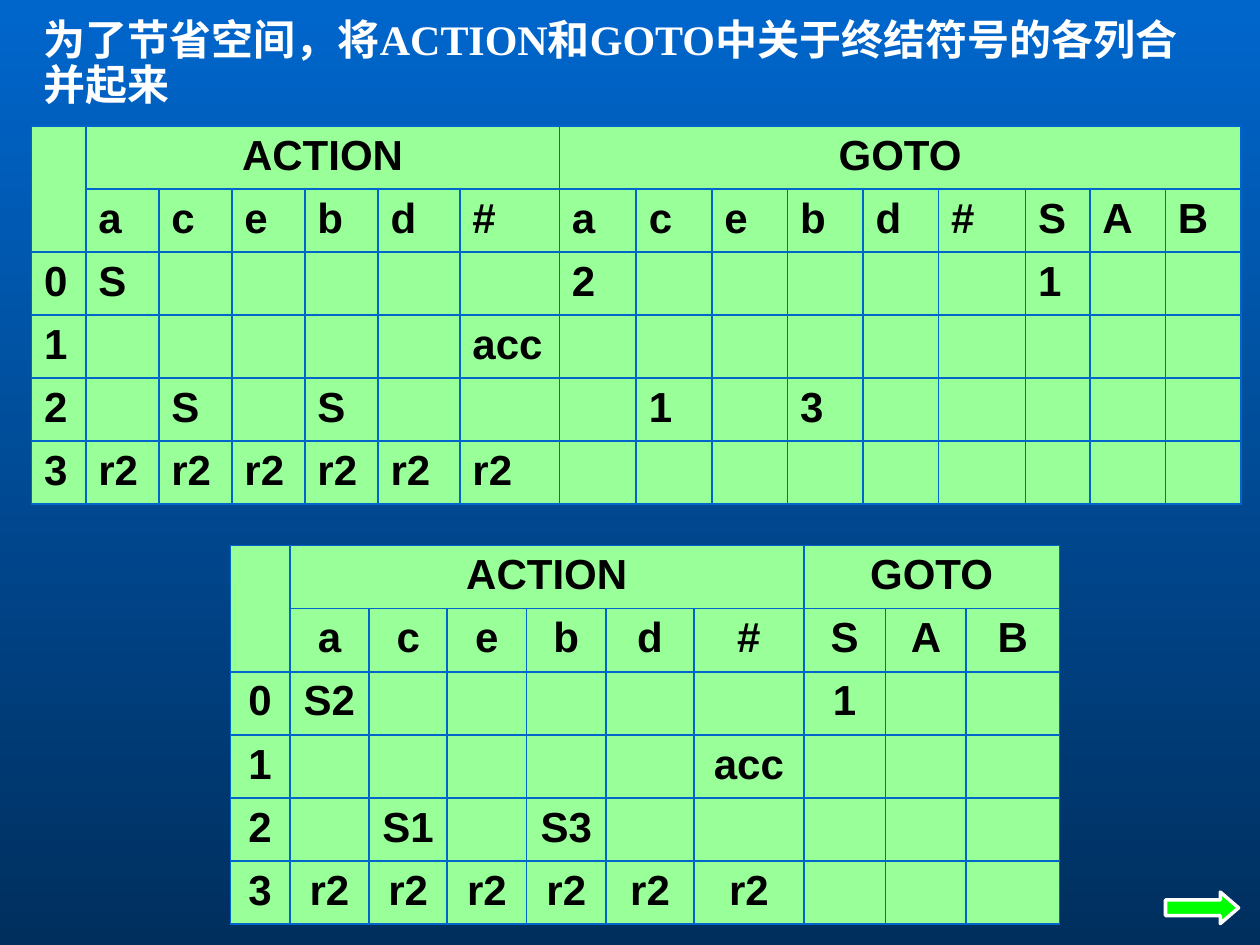
from dataclasses import dataclass

from lxml import etree
from pptx import Presentation
from pptx.dml.color import RGBColor
from pptx.enum.shapes import MSO_SHAPE
from pptx.enum.text import PP_ALIGN
from pptx.oxml.ns import qn
from pptx.util import Inches, Pt

LEFT, CENTER = PP_ALIGN.LEFT, PP_ALIGN.CENTER
RIGHT_ARROW = MSO_SHAPE.RIGHT_ARROW

WHITE = RGBColor(0xFF, 0xFF, 0xFF)
BLACK = RGBColor(0x00, 0x00, 0x00)
BLUE = RGBColor(0x00, 0x66, 0xCC)
NAVY = RGBColor(0x00, 0x2F, 0x5E)
MINT = RGBColor(0x99, 0xFF, 0x99)
GREEN = RGBColor(0x00, 0xFF, 0x00)

ROW_HEIGHT = 0.5
BORDER_WIDTH = Pt(1.08)
EMPTY = "."
ACTION_COLS = 6


@dataclass
class ParseTable:
    left: float
    top: float
    widths: list[float]
    rows: list[str]  # symbol row, then one row per state
    align: PP_ALIGN


FULL = ParseTable(
    0.25, 1.0,
    [0.43, *[0.58] * 4, 0.65, 0.79, 0.61, *[0.6] * 4, 0.69, 0.51, 0.6, 0.6],
    [". a c e b d # a c e b d # S A B",
     "0 S . . . . . 2 . . . . . 1 . .",
     "1 . . . . . acc . . . . . . . . .",
     "2 . S . S . . . 1 . 3 . . . . .",
     "3 r2 r2 r2 r2 r2 r2 . . . . . . . . ."],
    LEFT,
)
MERGED = ParseTable(
    1.83, 4.33,
    [0.47, 0.63, 0.62, 0.63, 0.63, 0.7, 0.87, 0.65, 0.64, 0.74],
    [". a c e b d # S A B",
     "0 S2 . . . . . 1 . .",
     "1 . . . . . acc . . .",
     "2 . S1 . S3 . . . . .",
     "3 r2 r2 r2 r2 r2 r2 . . ."],
    CENTER,
)


def format_text(p, font_name: str, color: RGBColor) -> None:
    for r in p.runs:
        r.font.name = font_name
        r.font.size = Pt(24)
        r.font.bold = True
        r.font.color.rgb = color


def style_cell(cell) -> None:
    """Draw the four borders, then the fill, which must follow them."""
    tc_pr = cell._tc.get_or_add_tcPr()
    for side in ("lnL", "lnR", "lnT", "lnB"):
        ln = etree.SubElement(tc_pr, qn(f"a:{side}"), w=str(BORDER_WIDTH))
        fill = etree.SubElement(ln, qn("a:solidFill"))
        etree.SubElement(fill, qn("a:srgbClr"), val=str(BLUE))
    cell.fill.solid()
    cell.fill.fore_color.rgb = MINT


def set_cell(cell, text: str, align: PP_ALIGN) -> None:
    p = cell.text_frame.paragraphs[0]
    p.text = text
    p.alignment = align
    format_text(p, "Arial", BLACK)


def draw_table(slide, spec: ParseTable) -> None:
    n_rows, n_cols = len(spec.rows) + 1, len(spec.widths)
    table = slide.shapes.add_table(
        n_rows, n_cols, Inches(spec.left), Inches(spec.top),
        Inches(sum(spec.widths)), Inches(n_rows * ROW_HEIGHT)).table
    table.first_row = table.horz_banding = False
    for col, width in zip(table.columns, spec.widths):
        col.width = Inches(width)
    for row in table.rows:
        row.height = Inches(ROW_HEIGHT)
    for cell in table.iter_cells():
        style_cell(cell)

    # Group headings
    goto_col = ACTION_COLS + 1
    table.cell(0, 0).merge(table.cell(1, 0))
    table.cell(0, 1).merge(table.cell(0, ACTION_COLS))
    table.cell(0, goto_col).merge(table.cell(0, n_cols - 1))
    set_cell(table.cell(0, 1), "ACTION", CENTER)
    set_cell(table.cell(0, goto_col), "GOTO", CENTER)

    # Symbols and states
    for i, row in enumerate(spec.rows, start=1):
        for j, text in enumerate(row.split()):
            if text != EMPTY:
                set_cell(table.cell(i, j), text, spec.align)


def draw_title(slide, text: str) -> None:
    tf = slide.shapes.add_textbox(
        Inches(0.25), Inches(0.1), Inches(9.5), Inches(0.82)).text_frame
    tf.word_wrap = True
    p = tf.paragraphs[0]
    p.text = text
    p.line_spacing = 0.9
    format_text(p, "Times New Roman", WHITE)


def draw_arrow(slide) -> None:
    sp = slide.shapes.add_shape(
        RIGHT_ARROW, Inches(9.25), Inches(7.08), Inches(0.58), Inches(0.25))
    sp.adjustments[1] = 0.58
    sp.shadow.inherit = False
    sp.fill.solid()
    sp.fill.fore_color.rgb = GREEN
    sp.line.color.rgb = WHITE
    sp.line.width = Pt(2)


def main() -> None:
    prs = Presentation()
    prs.slide_width, prs.slide_height = Inches(10), Inches(7.5)
    slide = prs.slides.add_slide(prs.slide_layouts[6])

    # Background, light at the top
    fill = slide.background.fill
    fill.gradient()
    fill.gradient_angle = 270
    for stop, color in zip(fill.gradient_stops, (BLUE, NAVY)):
        stop.color.rgb = color

    draw_title(slide, "为了节省空间，将ACTION和GOTO中关于终结符号的各列合并起来")
    for spec in (FULL, MERGED):
        draw_table(slide, spec)
    draw_arrow(slide)
    prs.save("out.pptx")


if __name__ == "__main__":
    main()
